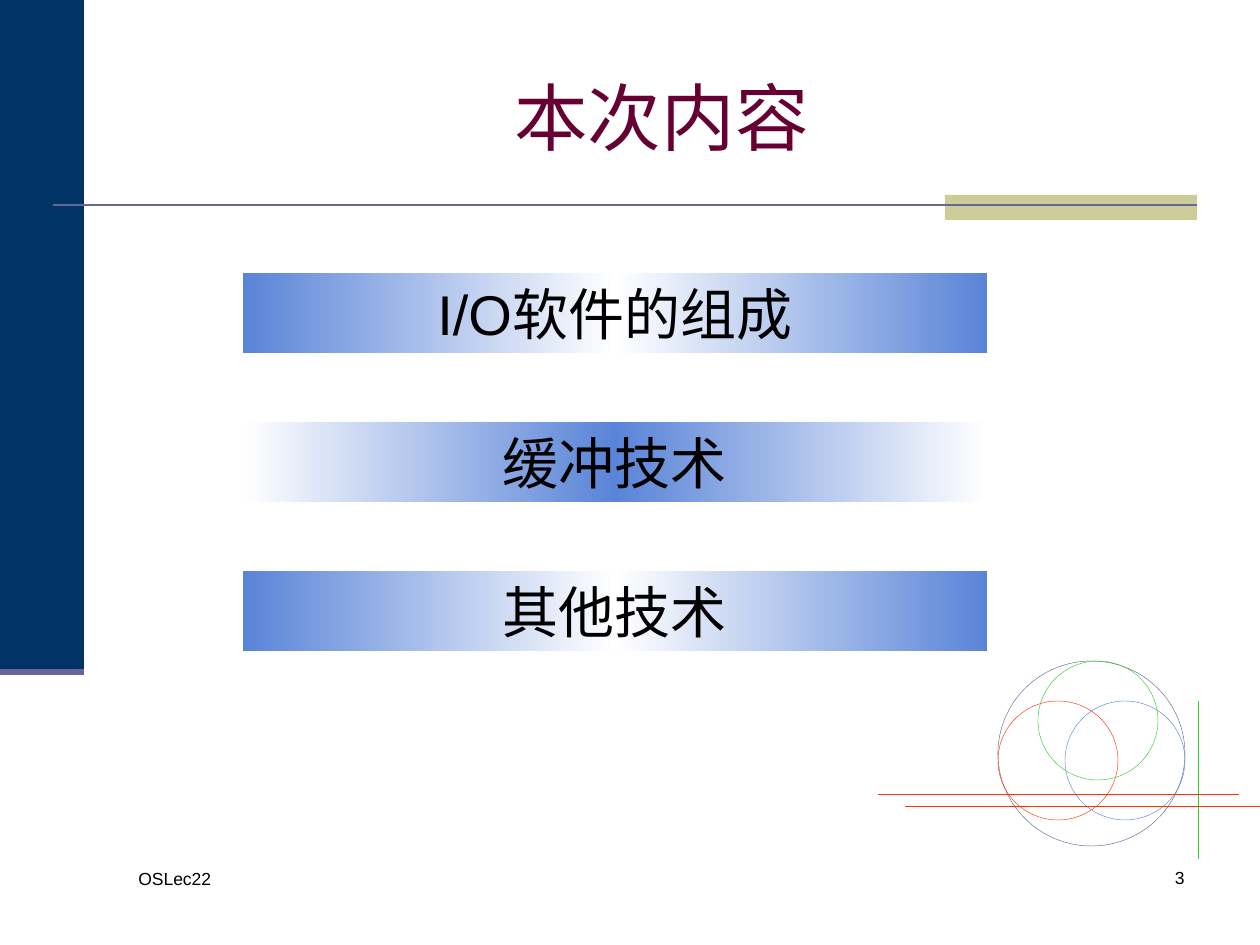
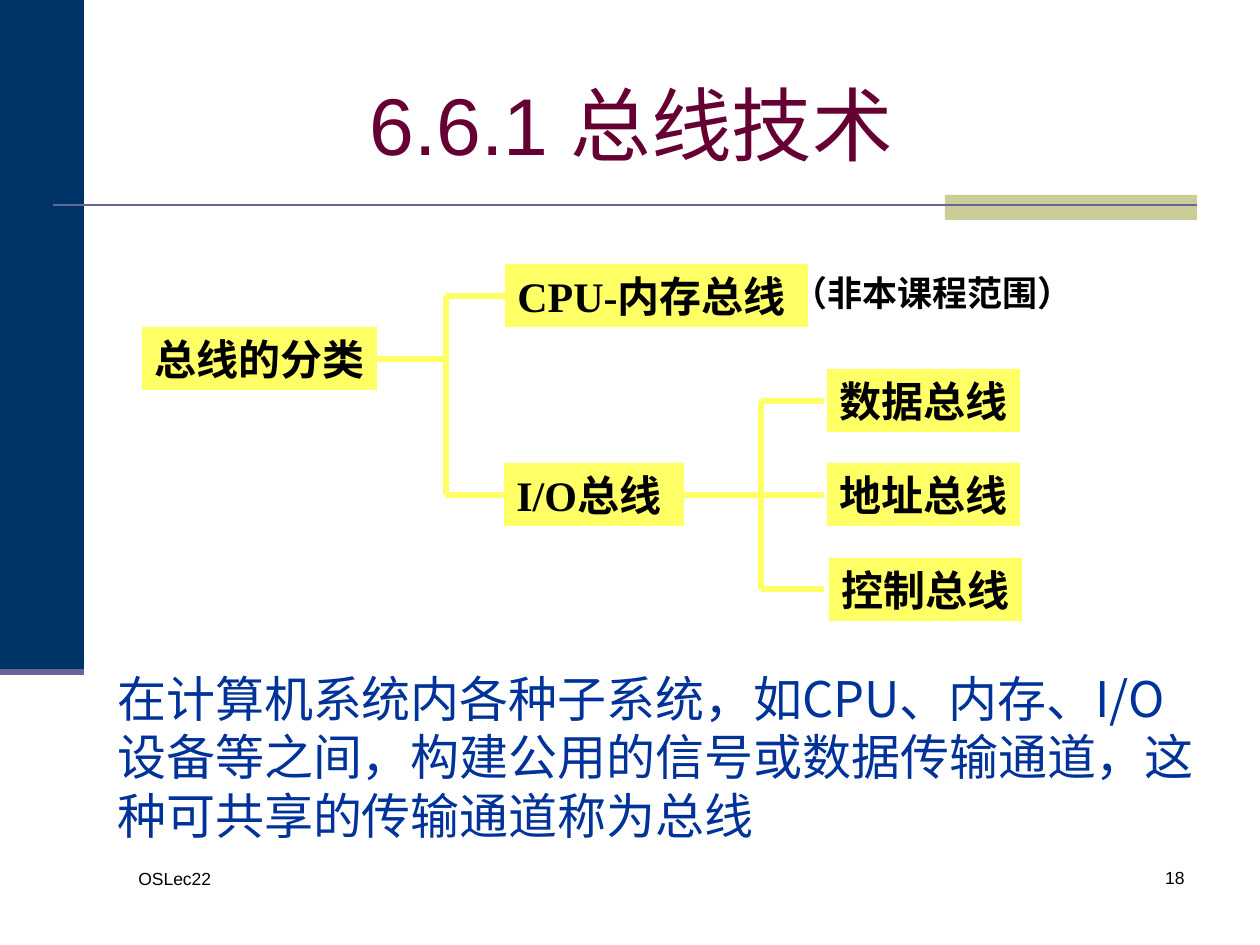
from copy import deepcopy

from pptx import Presentation
from pptx.dml.color import RGBColor as RGB
from pptx.enum.dml import MSO_LINE as Dash
from pptx.enum.shapes import MSO_CONNECTOR as Conn, MSO_SHAPE as Kind
from pptx.enum.text import MSO_ANCHOR as Anchor, MSO_AUTO_SIZE as Fit, PP_ALIGN as Align
from pptx.oxml.ns import qn
from pptx.oxml.xmlchemy import OxmlElement as Node
from pptx.util import Pt

PX = 7257  # EMU, 126 px to the inch
NAVY = RGB(0x00, 0x33, 0x66)
TAN = RGB(0xCC, 0xCC, 0x99)
SLATE = RGB(0x66, 0x66, 0x99)
WINE = RGB(0x66, 0x00, 0x33)
BLUE = RGB(0x5A, 0x84, 0xD8)
INK = RGB(0x00, 0x33, 0x99)
LEMON = RGB(0xFF, 0xFF, 0x66)
GREEN = RGB(0x33, 0xCC, 0x33)
RED = RGB(0xFF, 0x33, 0x00)
WHITE = RGB(0xFF, 0xFF, 0xFF)
BLACK = RGB(0x00, 0x00, 0x00)


def write(shape, text, size, color=BLACK, face="Arial", align=Align.LEFT,
          anchor=Anchor.TOP, bold=False, wrap=True):
    frame = shape.text_frame
    frame.text = text
    frame.auto_size = Fit.NONE
    frame.word_wrap = wrap
    frame.vertical_anchor = anchor
    para = frame.paragraphs[0]
    para.alignment = align
    font = para.font
    font.name, font.size, font.bold = face, Pt(size), bold
    font.color.rgb = color
    return para


def draw(slide, kind, box, fill=None, line=None, width=1.0):
    """Add a line from (x1, y1) to (x2, y2), or a shape at (left, top, width, height)."""
    spots = [n * PX for n in box]
    if kind is Conn.STRAIGHT:
        item = slide.shapes.add_connector(kind, *spots)
        item._element.spPr.append(Node("a:effectLst"))
    else:
        item = slide.shapes.add_shape(kind, *spots)
        item.shadow.inherit = False
        if fill is None:
            item.fill.background()
        else:
            item.fill.solid()
            item.fill.fore_color.rgb = fill
    if line is None:
        item.line.fill.background()
    else:
        item.line.color.rgb = line
        item.line.width = Pt(width)
    return item


deck = Presentation()
deck.slide_width, deck.slide_height = 1260 * PX, 945 * PX

# Shared frame, title and footer
pages = [
    ("本次内容", 42, (126, 38, 1071, 157), "3"),
    ("6.6.1 总线技术", 46, (130, 63, 1002, 121), "18"),
]
for name, size, box, page in pages:
    slide = deck.slides.add_slide(deck.slide_layouts[5])
    draw(slide, Kind.RECTANGLE, (0, 0, 84, 672), NAVY)
    draw(slide, Kind.RECTANGLE, (945, 195, 252, 25), TAN)
    draw(slide, Conn.STRAIGHT, (53, 205, 1197, 205), line=SLATE, width=1.5)
    draw(slide, Conn.STRAIGHT, (0, 672, 84, 672), line=SLATE, width=3.5)
    title = slide.shapes.title
    title.left, title.top, title.width, title.height = [n * PX for n in box]
    write(title, name, size, WINE, align=Align.CENTER, anchor=Anchor.MIDDLE)
    foot = slide.shapes.add_textbox(126 * PX, 862 * PX, 273 * PX, 63 * PX)
    write(foot, "OSLec22", 10)
    number = slide.shapes.add_textbox(935 * PX, 861 * PX, 262 * PX, 63 * PX)
    write(number, page, 10, align=Align.RIGHT)

agenda, bus = deck.slides

# Agenda bars: the blend turns inside out on every second bar
for i, text in enumerate(["I/O软件的组成", "缓冲技术", "其他技术"]):
    bar = draw(agenda, Kind.RECTANGLE, (243, 273 + 149 * i, 744, 80))
    bar.fill.gradient()
    bar.fill.gradient_angle = 0
    stops = bar._element.spPr.find(".//" + qn("a:gsLst"))
    stops.insert(1, deepcopy(stops[0]))
    edge, core = (WHITE, BLUE) if i % 2 else (BLUE, WHITE)
    for stop, place, color in zip(bar.fill.gradient_stops, (0, 0.5, 1), (edge, core, edge)):
        stop.position = place
        stop.color.rgb = color
    write(bar, text, 32, align=Align.CENTER, anchor=Anchor.MIDDLE)

# Ring motif
draw(agenda, Conn.STRAIGHT, (1198, 701, 1198, 859), line=GREEN, width=0.25)
draw(agenda, Kind.OVAL, (998, 661, 187, 185), line=SLATE, width=0.25)
for left, top, color in [(998, 701, RED), (1065, 701, BLUE), (1038, 661, GREEN)]:
    draw(agenda, Kind.OVAL, (left, top, 120, 119), line=color, width=0.25)
dots = draw(agenda, Conn.STRAIGHT, (878, 794, 1238, 794), line=RED, width=0.25)
dots.line.dash_style = Dash.ROUND_DOT
draw(agenda, Conn.STRAIGHT, (905, 806, 1260, 806), line=RED, width=0.25)

# Bus tree
labels = [
    ("总线的分类", 142, 327, 235),
    ("CPU-内存总线", 505, 264, 303),
    ("I/O总线", 504, 463, 180),
    ("数据总线", 827, 369, 193),
    ("地址总线", 827, 463, 193),
    ("控制总线", 829, 558, 193),
]
for text, left, top, width in labels:
    label = draw(bus, Kind.RECTANGLE, (left, top, width, 63), LEMON)
    write(label, text, 24, face="Times New Roman", bold=True, wrap=False)

# Each fork: stem start and height, trunk x, tip x, branch heights
forks = [
    (373, 359, 446, 509, (296, 495)),
    (677, 495, 761, 824, (401, 495, 589)),
]
for start, stem, trunk, tip, rows in forks:
    lines = [(start, stem, trunk, stem), (trunk, rows[0], trunk, rows[-1])]
    lines += [(trunk, row, tip, row) for row in rows]
    for ends in lines:
        draw(bus, Conn.STRAIGHT, ends, line=LEMON, width=3)

note = bus.shapes.add_textbox(780 * PX, 265 * PX, 305 * PX, 55 * PX)
write(note, "（非本课程范围）", 20, face="Times New Roman", bold=True, wrap=False)

body = bus.shapes.add_textbox(105 * PX, 662 * PX, 1111 * PX, 189 * PX)
para = write(
    body,
    "在计算机系统内各种子系统，如CPU、内存、I/O设备等之间，"
    "构建公用的信号或数据传输通道，这种可共享的传输通道称为总线",
    28, INK, "Noto Sans CJK SC", anchor=Anchor.MIDDLE)
para.line_spacing = Pt(33.5)

deck.save("out.pptx")
